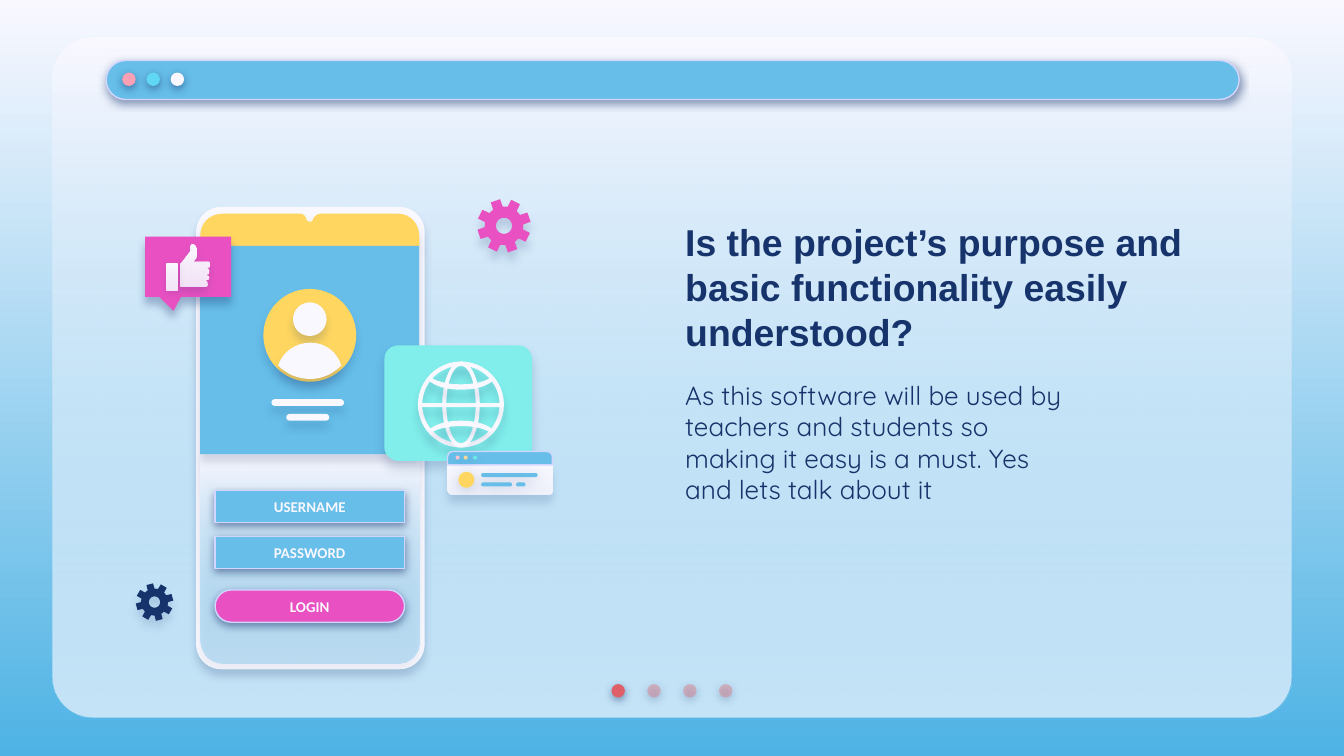
from math import cos, radians, sin

from lxml import etree
from pptx import Presentation
from pptx.dml.color import RGBColor
from pptx.enum.shapes import MSO_SHAPE
from pptx.enum.text import MSO_ANCHOR, PP_ALIGN
from pptx.oxml.ns import qn
from pptx.util import Inches, Pt

NAVY, BLUE, WHITE = "17336B", "66BEE9", "F9F8FF"
PINK, YELLOW, LILAC = "E951C2", "FFD65F", "D2D6FF"
GLASS = (WHITE, BLUE + ":35")
FADE = (WHITE, WHITE + ":87")
STRONG, SOFT, DEEP = (50, 4.5, 1.5), (16, 4.5, 3.8), (16, 4.5, 4.5)
TINY, WIDE = (17, 4.5, 2.2), (18, 6.8, 1.5)

presentation = Presentation()
presentation.slide_width = Inches(10)
presentation.slide_height = Inches(10) * 9 // 16
slide = presentation.slides.add_slide(presentation.slide_layouts[6])


def paint(fill, *colors):
    colors = [color.partition(":") for color in colors]
    if len(colors) == 1:
        fill.solid()
        fill.fore_color.rgb = RGBColor.from_string(colors[0][0])
    else:
        fill.gradient()
        fill.gradient_angle = 270
        for stop, color in zip(fill.gradient_stops, colors):
            stop.color.rgb = RGBColor.from_string(color[0])
    for element, color in zip(fill._xPr.iter(qn("a:srgbClr")), colors):
        if color[2]:
            etree.SubElement(element, qn("a:alpha"), val=f"{color[2]}000")


def draw(form, geometry, colors, shadow=None, adjust=(), line=None):
    if form is None:
        builder = None
        for contour in geometry:
            points = [contour[0]]
            for step in contour[1:]:
                if len(step) == 2:
                    points.append(step)
                    continue
                start = points[-1]
                for part in range(1, 9):
                    t = part / 8
                    points.append([
                        (1 - t) ** 3 * start[axis] + 3 * t * (1 - t) ** 2 * step[axis]
                        + 3 * t * t * (1 - t) * step[axis + 2] + t ** 3 * step[axis + 4]
                        for axis in (0, 1)])
            points = [(Inches(x), Inches(y)) for x, y in points]
            if builder is None:
                builder = slide.shapes.build_freeform(*points[0], scale=1.0)
            else:
                builder.move_to(*points[0])
            builder.add_line_segments(points[1:], close=True)
        shape = builder.convert_to_shape()
    else:
        shape = slide.shapes.add_shape(form, *[Inches(length) for length in geometry])
        for index, value in enumerate(adjust):
            shape.adjustments[index] = value
    paint(shape.fill, *([colors] if isinstance(colors, str) else colors))
    if line:
        paint(shape.line.fill, line)
        shape.line.width = Pt(0.75)
    else:
        shape.line.fill.background()
    shape.shadow.inherit = False
    if shadow:
        alpha, blur, distance = shadow
        effects = shape.element.spPr.find(qn("a:effectLst"))
        outer = etree.SubElement(effects, qn("a:outerShdw"), blurRad=str(Pt(blur)),
                                 dist=str(Pt(distance)), dir="5400000",
                                 algn="bl", rotWithShape="0")
        color = etree.SubElement(outer, qn("a:srgbClr"), val=NAVY)
        etree.SubElement(color, qn("a:alpha"), val=f"{alpha}000")
    return shape


ROUND, TOP_BOTTOM = MSO_SHAPE.ROUNDED_RECTANGLE, MSO_SHAPE.ROUND_2_SAME_RECTANGLE
OVAL, RECTANGLE, DONUT = MSO_SHAPE.OVAL, MSO_SHAPE.RECTANGLE, MSO_SHAPE.DONUT

paint(slide.background.fill, WHITE, "4EB3E4")
for colors in (WHITE, GLASS):
    draw(ROUND, (0.39, 0.28, 9.22, 5.06), colors, adjust=[0.06])
for index, color in enumerate(["DF5F69"] + ["E27B83:44"] * 3):
    draw(OVAL, (4.55 + index * 0.8 / 3, 5.09, 0.1, 0.1), color, STRONG)
draw(ROUND, (0.79, 0.45, 8.43, 0.29), BLUE, STRONG, [0.5], LILAC)
for index, color in enumerate(["FDA0B4", "60D8F4", WHITE]):
    draw(OVAL, (0.91 + index * 0.18, 0.54, 0.1, 0.1), color, STRONG)

texts = [
    ((5, 2, 4.21, 0.79), "Is the project’s purpose and basic functionality easily understood?",
     "Arial", 20, True, MSO_ANCHOR.BOTTOM, 0.16),
    ((5, 2.89, 3.07, 0.8), "As this software will be used by teachers and students so making it "
     "easy is a must. Yes and lets talk about it",
     "Quicksand", 14, False, MSO_ANCHOR.MIDDLE, 0.1),
]
for box, text, font, size, bold, anchor, bottom in texts:
    frame = slide.shapes.add_textbox(*[Inches(length) for length in box]).text_frame
    frame.word_wrap = True
    frame.vertical_anchor = anchor
    frame.margin_left = frame.margin_right = frame.margin_top = Inches(0.1)
    frame.margin_bottom = Inches(bottom)
    run = frame.paragraphs[0].add_run()
    run.text = text
    run.font.name, run.font.size, run.font.bold = font, Pt(size), bold
    paint(run.font.fill, NAVY)

draw(ROUND, (1.46, 1.54, 1.7, 3.44), WHITE, SOFT, [0.11])
draw(TOP_BOTTOM, (1.49, 3.38, 1.63, 1.56), GLASS, SOFT, [0, 0.11])
phone_top = [(1.66, 1.59), (1.56, 1.59, 1.49, 1.66, 1.49, 1.76), (1.49, 1.83), (3.12, 1.83),
             (3.12, 1.76), (3.12, 1.66, 3.05, 1.59, 2.96, 1.59), (2.39, 1.59),
             (2.36, 1.59, 2.34, 1.61, 2.33, 1.63), (2.33, 1.64, 2.32, 1.65, 2.31, 1.65),
             (2.29, 1.65, 2.28, 1.64, 2.28, 1.63), (2.27, 1.6, 2.25, 1.59, 2.23, 1.59)]
draw(None, [phone_top], YELLOW, SOFT)
draw(RECTANGLE, (1.49, 1.83, 1.63, 1.55), BLUE, SOFT)
draw(OVAL, (1.96, 2.15, 0.69, 0.69), YELLOW, SOFT)
draw(OVAL, (2.18, 2.25, 0.25, 0.25), WHITE, SOFT)
shoulders = [(2.31, 2.55), (2.2, 2.55, 2.1, 2.62, 2.07, 2.72), (2.13, 2.78, 2.21, 2.82, 2.31, 2.82),
             (2.4, 2.82, 2.48, 2.78, 2.54, 2.72), (2.51, 2.62, 2.42, 2.55, 2.31, 2.55)]
draw(None, [shoulders], WHITE, SOFT)
for box in ((2.02, 2.97, 0.54, 0.05), (2.13, 3.08, 0.32, 0.05)):
    draw(ROUND, box, WHITE, SOFT, [0.5])

for label, top, color, corner in (("USERNAME", 3.65, BLUE, 0), ("PASSWORD", 3.99, BLUE, 0),
                                  ("LOGIN", 4.39, PINK, 0.5)):
    button = draw(ROUND, (1.6, top, 1.41, 0.24), color, STRONG, [corner], LILAC)
    frame = button.text_frame
    frame.vertical_anchor = MSO_ANCHOR.MIDDLE
    frame.margin_left = frame.margin_right = frame.margin_top = frame.margin_bottom = Inches(0.1)
    paragraph = frame.paragraphs[0]
    paragraph.alignment = PP_ALIGN.CENTER
    run = paragraph.add_run()
    run.text = label
    run.font.name, run.font.size, run.font.bold = "Calibri", Pt(8), True
    paint(run.font.fill, WHITE)

draw(MSO_SHAPE.ROUNDED_RECTANGULAR_CALLOUT, (1.08, 1.76, 0.64, 0.45), PINK, (31, 4.5, 3.8),
     [-0.17, 0.73, 0])
thumb = [(1.43, 1.82), (1.42, 1.82, 1.41, 1.83, 1.41, 1.84), (1.41, 1.87), (1.34, 1.96),
         (1.34, 2.12), (1.34, 2.12, 1.34, 2.13, 1.35, 2.13), (1.52, 2.13),
         (1.53, 2.13, 1.54, 2.12, 1.54, 2.11), (1.54, 2.09, 1.53, 2.08, 1.52, 2.08),
         (1.54, 2.08, 1.55, 2.07, 1.55, 2.06), (1.55, 2.05, 1.54, 2.04, 1.52, 2.04), (1.53, 2.04),
         (1.54, 2.04, 1.55, 2.03, 1.55, 2.01), (1.55, 2, 1.54, 1.99, 1.53, 1.99),
         (1.55, 1.99, 1.56, 1.98, 1.56, 1.97), (1.56, 1.95, 1.55, 1.94, 1.53, 1.94), (1.44, 1.94),
         (1.46, 1.92, 1.46, 1.9, 1.46, 1.87), (1.46, 1.86), (1.46, 1.84, 1.45, 1.82, 1.43, 1.82)]
draw(None, [thumb], FADE, (19, 4.5, 3))
draw(ROUND, (1.24, 1.96, 0.08, 0.2), FADE, (16, 4.5, 1.5), [0.12])

draw(ROUND, (2.86, 2.57, 1.1, 0.86), "81EEEB", (18, 5.6, 3.8), [0.12])
draw(DONUT, (3.11, 2.69, 0.64, 0.64), WHITE, DEEP, [0.05])
draw(DONUT, (3.29, 2.69, 0.28, 0.64), WHITE, DEEP, [0.11])
draw(RECTANGLE, (3.13, 3, 0.61, 0.03), WHITE, DEEP)
latitude = [(3.21, 2.81), (3.19, 2.83), (3.19, 2.83, 3.25, 2.9, 3.43, 2.9),
            (3.61, 2.9, 3.67, 2.83, 3.67, 2.83), (3.65, 2.81),
            (3.65, 2.81, 3.59, 2.86, 3.43, 2.86), (3.27, 2.86, 3.21, 2.81, 3.21, 2.81)]
mirrored = [[6.03 - value if index % 2 else value for index, value in enumerate(step)]
            for step in latitude]
for arc in (latitude, mirrored):
    draw(None, [arc], WHITE, DEEP)

draw(TOP_BOTTOM, (3.33, 3.45, 0.78, 0.23), FADE, DEEP, [0, 0.17])
draw(TOP_BOTTOM, (3.33, 3.36, 0.78, 0.1), BLUE, None, [0.4, 0], LILAC)
for left, color in ((3.39, "FFC3D0"), (3.45, "F5D79B"), (3.52, "6AEBE7")):
    draw(OVAL, (left, 3.39, 0.03, 0.03), color, TINY)
draw(OVAL, (3.41, 3.51, 0.12, 0.12), YELLOW, WIDE)
for left, top, width in ((3.58, 3.52, 0.42), (3.58, 3.59, 0.23), (3.84, 3.59, 0.07)):
    draw(ROUND, (left, top, width, 0.03), BLUE, WIDE, [0.5])

for x, y, radius, turn, color, shadow in ((3.75, 1.68, 0.2, 26, PINK, DEEP),
                                          (1.15, 4.48, 0.14, 30, NAVY, (15, 4.5, 3.8))):
    teeth = [(turn + 45 * tooth + offset, radius * reach) for tooth in range(8)
             for offset, reach in ((-15, 0.72), (-10.5, 1), (10.5, 1), (15, 0.72))]
    hole = [(angle, radius * 0.3) for angle in range(360, 0, -10)]
    draw(None, [[(x + reach * cos(radians(angle)), y + reach * sin(radians(angle)))
                 for angle, reach in contour] for contour in (teeth, hole)], color, shadow)

presentation.save("out.pptx")
